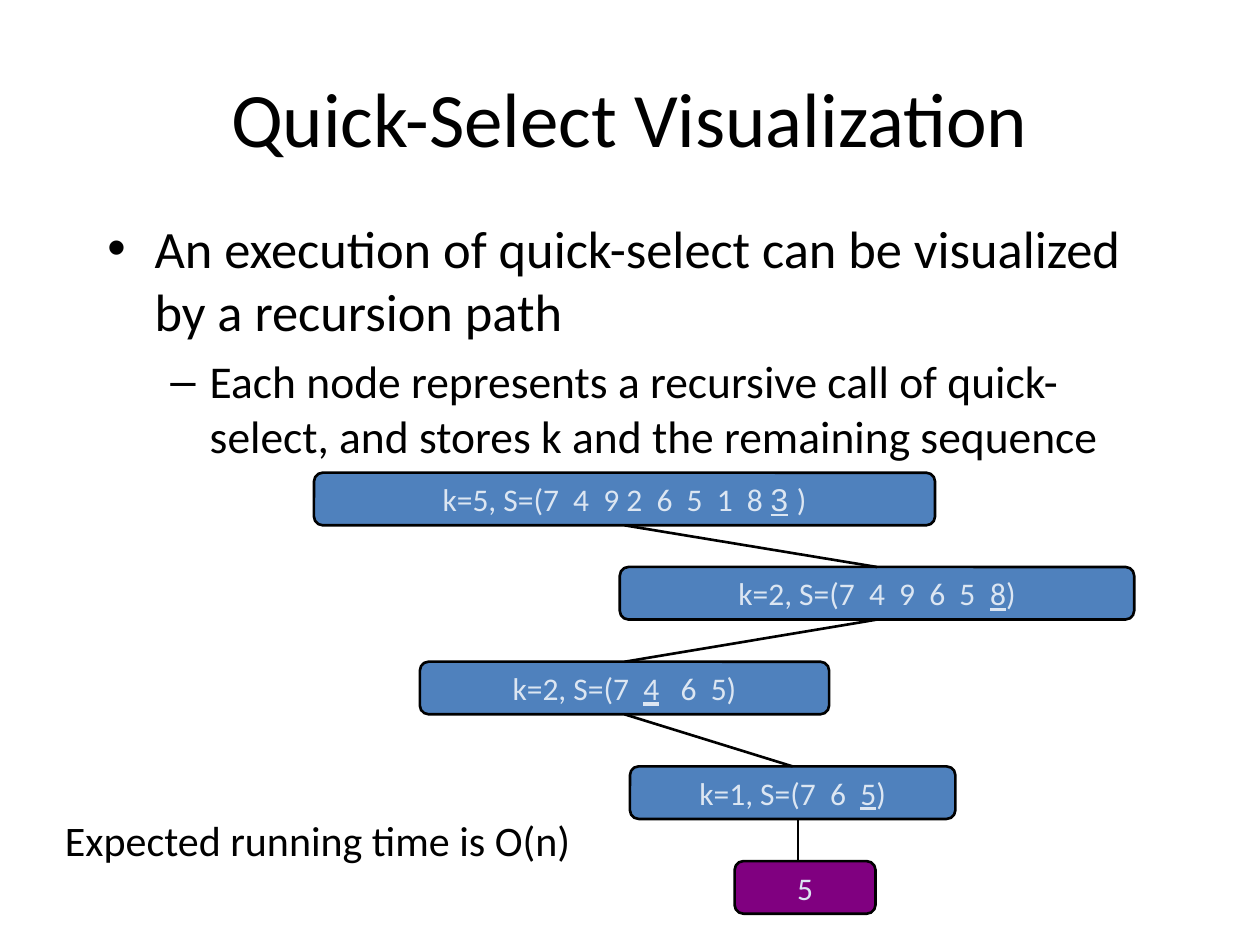
from lxml import etree
from pptx import Presentation
from pptx import util as u
from pptx.dml.color import RGBColor
from pptx.enum import shapes, text
from pptx.oxml.ns import qn

BLACK = RGBColor(0x00, 0x00, 0x00)
BLUE = RGBColor(0x4F, 0x81, 0xBD)
PURPLE = RGBColor(0x80, 0x00, 0x80)
PALE = RGBColor(0xDC, 0xE6, 0xF2)
TOP, BOTTOM = 0, 2


class Deck:
    font = "Calibri"
    line_width = u.Pt(1.5)
    node_height = 1.06

    def __init__(self):
        self.prs = Presentation()
        self.prs.slide_width, self.prs.slide_height = u.Cm(25.4), u.Cm(19.05)
        self.slide = self.prs.slides.add_slide(self.prs.slide_layouts[1])

    def place(self, sp, left, top, width, height):
        sp.left, sp.top, sp.width, sp.height = map(u.Cm, (left, top, width, height))

    def style(self, r, size, color=BLACK, font=None):
        r.font.size, r.font.name = u.Pt(size), font or self.font
        r.font.color.rgb = color

    def title(self, words, *box):
        sp = self.slide.shapes.title
        self.place(sp, *box)
        sp.text_frame.text = words
        self.style(sp.text_frame.paragraphs[0].runs[0], 44)

    def body(self, items, *box):
        """Fill the list placeholder with (level, size, space before, words)."""
        sp = self.slide.placeholders[1]
        self.place(sp, *box)
        tf = sp.text_frame
        tf.auto_size = text.MSO_AUTO_SIZE.NONE
        tf.text = "\n".join(words for *_, words in items)
        for p, (level, size, before, _) in zip(tf.paragraphs, items):
            p.level, p.space_before = level, u.Pt(before)
            self.style(p.runs[0], size)

    def label(self, words, *box):
        sp = self.slide.shapes.add_textbox(*map(u.Cm, box))
        tf = sp.text_frame
        tf.word_wrap = True
        tf.text = words
        self.style(tf.paragraphs[0].runs[0], 24)

    def node(self, center, top, width, parts, fill=BLUE):
        """Draw a call; parts are (words, underlined, font) runs."""
        sp = self.slide.shapes.add_shape(
            shapes.MSO_SHAPE.ROUNDED_RECTANGLE, u.Cm(center - width / 2),
            u.Cm(top), u.Cm(width), u.Cm(self.node_height))
        sp.shadow.inherit = False
        sp.fill.solid()
        sp.fill.fore_color.rgb = fill
        sp.line.color.rgb, sp.line.width = BLACK, self.line_width
        tf = sp.text_frame
        tf.word_wrap = False
        tf.vertical_anchor = text.MSO_ANCHOR.MIDDLE
        p = tf.paragraphs[0]
        p.alignment = text.PP_ALIGN.CENTER
        for words, underlined, font in parts:
            r = p.add_run()
            r.text = words
            self.style(r, 18, PALE, font)
            if underlined:
                r.font.underline = True
        return sp

    def line(self, x1, y1, x2, y2):
        c = self.slide.shapes.add_connector(
            shapes.MSO_CONNECTOR.STRAIGHT, x1, y1, x2, y2)
        c.line.color.rgb, c.line.width = BLACK, self.line_width
        etree.SubElement(c._element.spPr, qn("a:effectLst"))
        return c

    def join(self, upper, lower):
        c = self.line(0, 0, 0, 0)
        c.begin_connect(upper, BOTTOM)
        c.end_connect(lower, TOP)


def main():
    deck = Deck()
    deck.title("Quick-Select Visualization", 1.27, 0.76, 22.86, 3.18)
    deck.body([
        (0, 30, 7.5, "An execution of quick-select can be visualized by a recursion path"),
        (1, 26, 6.5, "Each node represents a recursive call of quick-select, "
                     "and stores k and the remaining sequence"),
    ], 1.91, 4.23, 21.8, 5.5)

    calls = [
        (12.59, 9.53, 12.52, [("k=5, S=(7  4  9 2  6  5  1  8 ", False, None),
                              ("3", True, "Arial"), (" ", False, "Arial"),
                              (")", False, None)]),
        (17.68, 11.43, 10.37, [("k=2, S=(7  4  9  6  5  ", False, None),
                               ("8", True, None), (")", False, None)]),
        (12.59, 13.34, 8.25, [("k=2, S=(7  ", False, None),
                              ("4", True, None), ("   6  5)", False, None)]),
        (15.98, 15.45, 6.56, [("k=1, S=(7  6  ", False, None),
                              ("5", True, None), (")", False, None)]),
    ]
    nodes = [deck.node(*call) for call in calls]
    for upper, lower in zip(nodes, nodes[1:]):
        deck.join(upper, lower)

    result = deck.node(16.23, 17.36, 2.84, [("5", False, None)], PURPLE)
    last, x = nodes[-1], u.Cm(16.09)
    deck.line(x, last.top + last.height, x, result.top)

    deck.label("Expected running time is O(n)", 1.06, 16.3, 11, 1.27)
    deck.prs.save("out.pptx")


if __name__ == "__main__":
    main()
